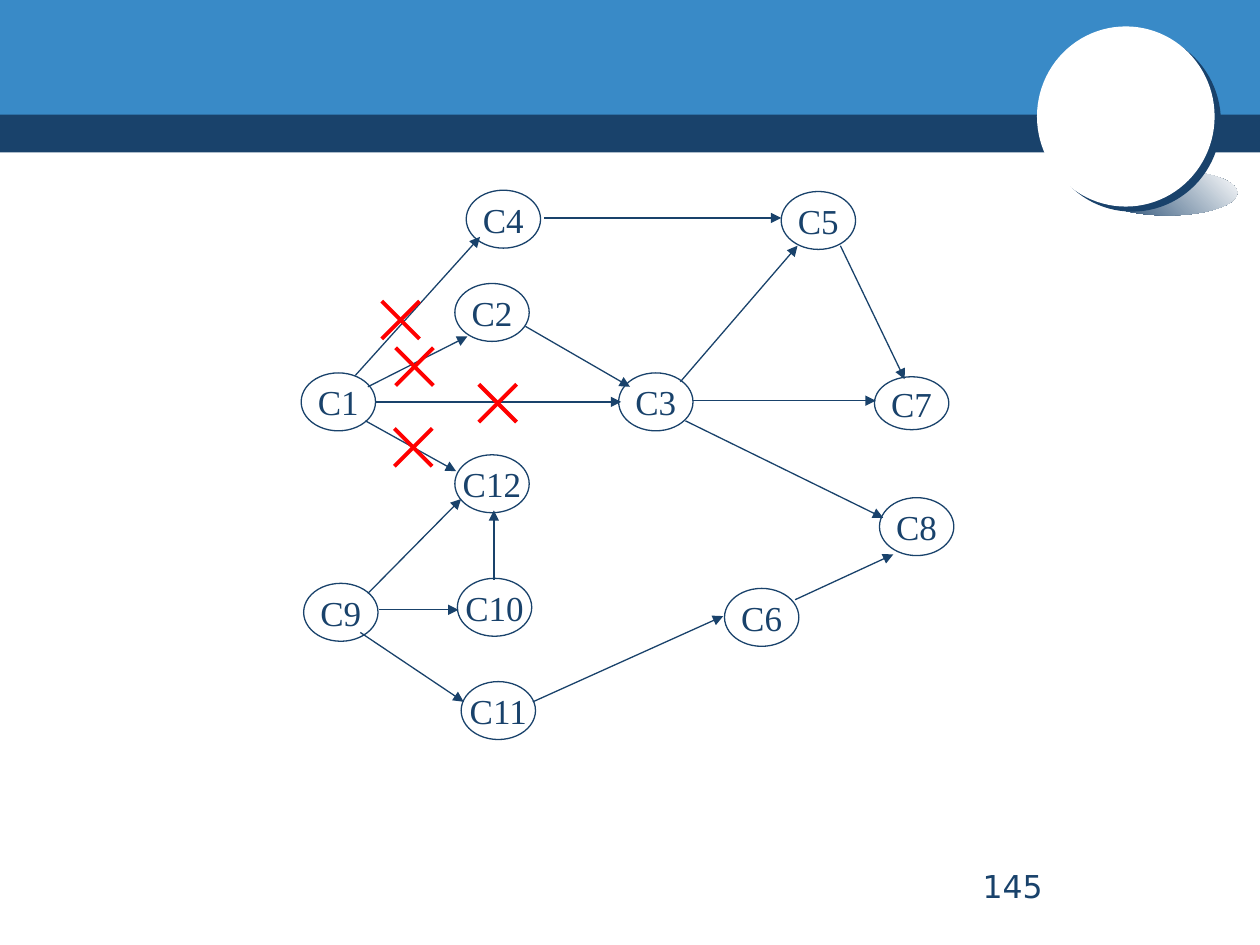
from lxml import etree
from pptx import Presentation
from pptx.dml.color import RGBColor
from pptx.enum.shapes import MSO_CONNECTOR, MSO_SHAPE
from pptx.enum.text import MSO_ANCHOR, PP_ALIGN
from pptx.oxml.ns import qn
from pptx.util import Inches, Pt

RECT, OVAL = MSO_SHAPE.RECTANGLE, MSO_SHAPE.OVAL
LINE = MSO_CONNECTOR.STRAIGHT
MIDDLE, CENTER = MSO_ANCHOR.MIDDLE, PP_ALIGN.CENTER

NAVY = RGBColor(0x19, 0x42, 0x6B)
BLUE = RGBColor(0x39, 0x8A, 0xC7)
WHITE = RGBColor(0xFF, 0xFF, 0xFF)
RED = RGBColor(0xFF, 0x00, 0x00)

COLS, ROWS = 100, 75  # grid of the slide
NODE_W, NODE_H = 5.9, 4.6
ARM = 1.5  # half the width of a cross

# Courses: name, left, top (grid units)
NODES = [
    ("C1", 23.9, 29.6), ("C2", 36.1, 22.5), ("C3", 49.1, 29.6),
    ("C4", 37, 15.1), ("C5", 62, 15.2), ("C6", 57.5, 46.7),
    ("C7", 69.4, 29.9), ("C8", 69.8, 39.5), ("C9", 24.1, 46.3),
    ("C10", 36.3, 45.9), ("C11", 36.6, 54.1), ("C12", 36.1, 36.1),
]
HEIGHTS = {"C7": 4.2}

# Arrows: start x, y, end x, y
ARROWS = [
    (29.8, 31.9, 49.3, 31.9),  # C1 to C3
    (29.2, 30.7, 37.1, 26.7),  # C1 to C2
    (41.7, 25.9, 50, 30.7),    # C2 to C3
    (28.2, 29.8, 38.1, 18.8),  # C1 to C4
    (43.2, 17.3, 62, 17.3),    # C4 to C5
    (54, 30.3, 63.3, 19.5),    # C3 to C5
    (55, 31.8, 69.5, 31.8),    # C3 to C7
    (66.7, 19.5, 71.8, 30.1),  # C5 to C7
    (29, 33.4, 36.2, 37.4),    # C1 to C12
    (29.2, 47.1, 36.6, 39.6),  # C9 to C12
    (30.1, 48.4, 36.4, 48.4),  # C9 to C10
    (39.2, 46, 39.2, 40.5),    # C10 to C12
    (28.6, 50.2, 36.8, 55.7),  # C9 to C11
    (42.3, 55.7, 57.4, 48.9),  # C11 to C6
    (63.1, 47.6, 70.9, 44),    # C6 to C8
    (54.4, 33.4, 70.1, 41.1),  # C3 to C8
]

# Centres of the crosses on the edges that leave C1
CROSSES = [(31.8, 25.4), (32.9, 29.1), (39.5, 32), (32.8, 35.5)]


class Deck:
    def __init__(self):
        self.prs = Presentation()
        self.prs.slide_width, self.prs.slide_height = Inches(10), Inches(7.5)
        self.slide = self.prs.slides.add_slide(self.prs.slide_layouts[6])
        self.shapes = self.slide.shapes

    def x(self, cols):
        return round(self.prs.slide_width * cols / COLS)

    def y(self, rows):
        return round(self.prs.slide_height * rows / ROWS)

    def box(self, left, top, width, height):
        return self.x(left), self.y(top), self.x(width), self.y(height)

    def shape(self, kind, area, fill=None):
        shape = self.shapes.add_shape(kind, *self.box(*area))
        shape.shadow.inherit = False
        shape.line.fill.background()
        if fill is None:
            shape.fill.background()
        else:
            shape.fill.solid()
            shape.fill.fore_color.rgb = fill
        return shape

    def fade(self, area, start, end, angle):
        shape = self.shape(OVAL, area)
        shape.fill.gradient()
        shape.fill.gradient_angle = angle
        for stop, color in zip(shape.fill.gradient_stops, (start, end)):
            stop.color.rgb = color

    def text(self, frame, words, size, face):
        para = frame.paragraphs[0]
        para.text = words
        para.font.size, para.font.name = Pt(size), face
        para.font.color.rgb = NAVY
        return para

    def node(self, name, left, top):
        height = HEIGHTS.get(name, NODE_H)
        shape = self.shape(OVAL, (left, top, NODE_W, height))
        shape.line.color.rgb, shape.line.width = NAVY, Pt(0.75)
        frame = shape.text_frame
        frame.word_wrap, frame.vertical_anchor = False, MIDDLE
        self.text(frame, name, 20, "Times New Roman").alignment = CENTER

    def line(self, x1, y1, x2, y2, color=NAVY, width=0.75):
        link = self.shapes.add_connector(
            LINE, self.x(x1), self.y(y1), self.x(x2), self.y(y2))
        link.line.color.rgb, link.line.width = color, Pt(width)
        etree.SubElement(link._element.spPr, qn("a:effectLst"))
        return link

    def arrow(self, *ends):
        stroke = self.line(*ends)._element.spPr.find(qn("a:ln"))
        etree.SubElement(stroke, qn("a:tailEnd"), type="triangle")

    def cross(self, x, y):
        for rise in (ARM, -ARM):
            self.line(x - ARM, y - rise, x + ARM, y + rise, RED, 2.25)

    def label(self, words, area):
        frame = self.shapes.add_textbox(*self.box(*area)).text_frame
        frame.word_wrap = True
        self.text(frame, words, 18, "DejaVu Sans")


def main():
    deck = Deck()

    # Header bands
    deck.shape(RECT, (0, 8.7, COLS, 3.4), NAVY)
    deck.shape(RECT, (0, 0, COLS, 9.1), BLUE)

    # Ball with its rim and cast shade
    deck.fade((87.1, 13.5, 11.1, 3.6), NAVY, WHITE, 45)
    deck.shape(OVAL, (82.8, 2.5, 14.1, 14.3), NAVY)
    deck.shape(OVAL, (82.3, 2.1, 14.1, 14.3), WHITE)

    # Page number
    deck.label("145", (77, 68.3, 20.8, 5))

    # Course graph
    for node in NODES:
        deck.node(*node)
    for ends in ARROWS:
        deck.arrow(*ends)
    for spot in CROSSES:
        deck.cross(*spot)

    deck.prs.save("out.pptx")


if __name__ == "__main__":
    main()
